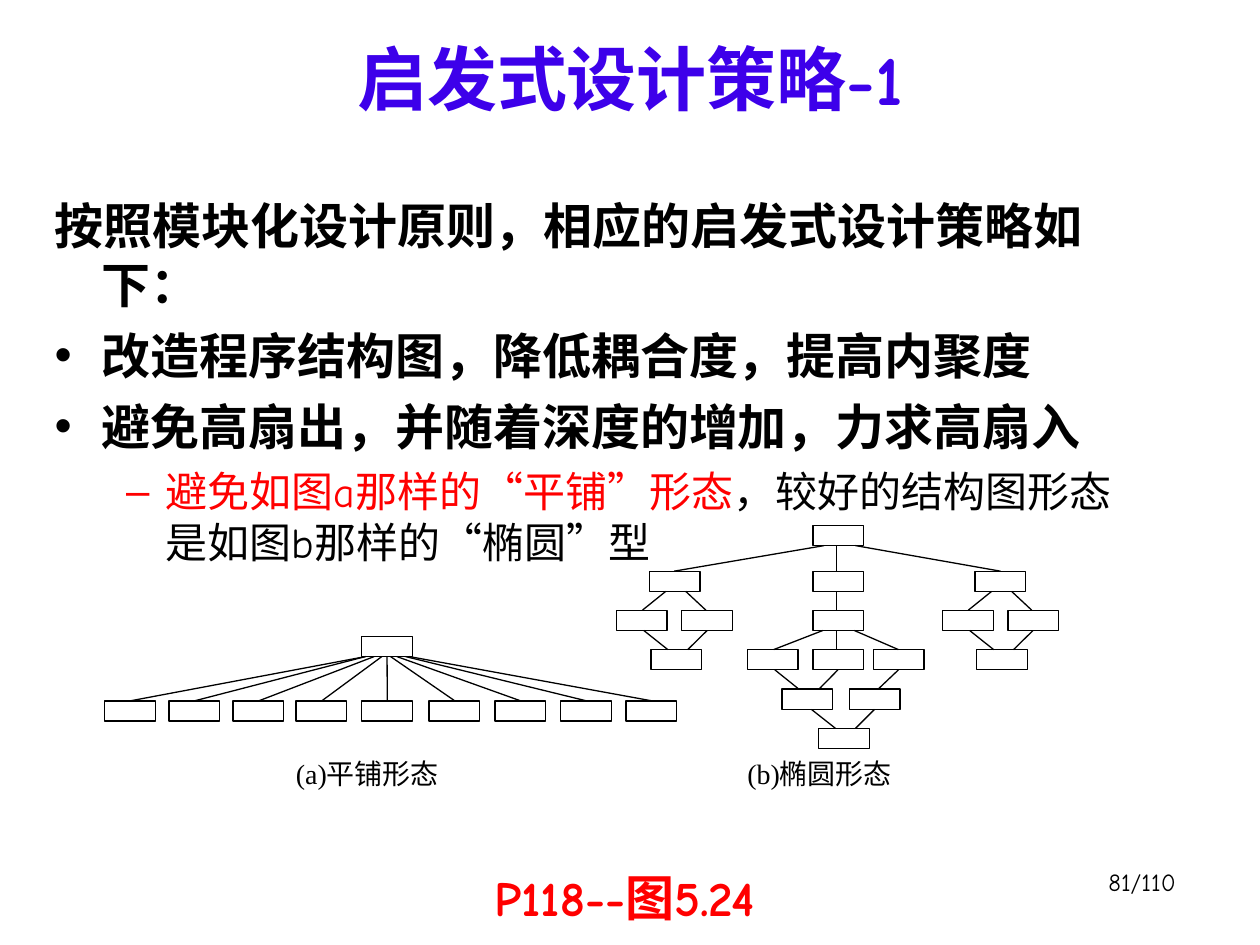
from lxml import etree
from pptx import Presentation
from pptx.dml.color import RGBColor
from pptx.enum import shapes, text
from pptx.oxml import ns
from pptx.util import Pt

rgb = RGBColor.from_string
BLACK, RED, BLUE = "000000", "FF0000", "3D00EA"
FONT = "Comic Neue"
W, H = 29, 11.6

prs = Presentation()
prs.slide_width, prs.slide_height = Pt(720), Pt(540)
s = prs.slides.add_slide(prs.slide_layouts[1])


def box(x, y):
    sp = s.shapes.add_shape(shapes.MSO_SHAPE.RECTANGLE, Pt(x), Pt(y), Pt(W), Pt(H))
    sp.shadow.inherit = False
    sp.fill.background()
    sp.line.color.rgb = rgb(BLACK)
    sp.line.width = Pt(0.75)


def line(x1, y1, x2, y2):
    cn = s.shapes.add_connector(shapes.MSO_CONNECTOR.STRAIGHT, Pt(x1), Pt(y1), Pt(x2), Pt(y2))
    cn.line.color.rgb = rgb(BLACK)
    cn.line.width = Pt(0.75)
    etree.SubElement(cn._element.spPr, ns.qn("a:effectLst"))


title, body = s.shapes.title, s.placeholders[1]
title.left, title.top, title.width, title.height = Pt(36), Pt(12), Pt(648), Pt(60)
body.left, body.top, body.width, body.height = Pt(24), Pt(108), Pt(642), Pt(216)

tf = title.text_frame
tf.text = "启发式设计策略-1"
tf.auto_size = text.MSO_AUTO_SIZE.NONE
tf.vertical_anchor = text.MSO_ANCHOR.BOTTOM
p = tf.paragraphs[0]
p.alignment = text.PP_ALIGN.CENTER
f = p.runs[0].font
f.name, f.size, f.bold, f.color.rgb = FONT, Pt(40), True, rgb(BLUE)

items = [
    (0, None, 0, [("按照模块化设计原则，相应的启发式设计策略如下：", BLACK)]),
    (0, "•", 7, [("改造程序结构图，降低耦合度，提高内聚度", BLACK)]),
    (0, "•", 7, [("避免高扇出，并随着深度的增加，力求高扇入", BLACK)]),
    (1, "–", 6, [("避免如图a那样的", RED), ("“", RED), ("平铺", RED), ("”", RED), ("形态", RED),
                 ("，较好的结构图形态是如图b那样的", BLACK), ("“", BLACK), ("椭圆", BLACK),
                 ("”", BLACK), ("型", BLACK)]),
]
tf = body.text_frame
tf.auto_size = text.MSO_AUTO_SIZE.NONE
for i, (level, bullet, before, runs) in enumerate(items):
    p = tf.add_paragraph() if i else tf.paragraphs[0]
    p.level = level
    p.space_before = Pt(before)
    pPr = p._p.get_or_add_pPr()
    pPr.set("marL", str(Pt((27, 63.4)[level])))
    pPr.set("indent", str(Pt((-27, -22.5)[level])))
    pPr.set("hangingPunct", "0")
    if bullet:
        clr = etree.SubElement(pPr, ns.qn("a:buClr"))
        etree.SubElement(clr, ns.qn("a:srgbClr"), val=runs[0][1])
        etree.SubElement(pPr, ns.qn("a:buChar"), char=bullet)
    else:
        etree.SubElement(pPr, ns.qn("a:buNone"))
    for words, color in runs:
        r = p.add_run()
        r.text = words
        f = r.font
        f.name = "Arial" if words in "“”" else FONT
        f.size, f.bold, f.color.rgb = Pt((28, 24)[level]), level == 0, rgb(color)

ALIGN = text.PP_ALIGN
for words, x, y, w, h, size, font, color, bold, align in [
    ("P118--图5.24", 144, 492, 426, 36, 28, FONT, RED, True, ALIGN.CENTER),
    ("81/110", 529.2, 491.8, 149.8, 36, 14, FONT, BLACK, False, ALIGN.RIGHT),
    ("(a)平铺形态", 162, 428.8, 127.4, 27.4, 16, "Times New Roman", BLACK, False, ALIGN.JUSTIFY),
    ("(b)椭圆形态", 420, 428.8, 127.4, 27.4, 16, "Times New Roman", BLACK, False, ALIGN.JUSTIFY),
]:
    tf = s.shapes.add_textbox(Pt(x), Pt(y), Pt(w), Pt(h)).text_frame
    tf.word_wrap = True
    tf.text = words
    p = tf.paragraphs[0]
    p.alignment = align
    f = p.runs[0].font
    f.name, f.size, f.bold, f.color.rgb = font, Pt(size), bold, rgb(color)

ROOT_Y, LEAF_Y = 363.6, 400.5
box(206.6, ROOT_Y)
for x, start in [(59.8, 208.8), (96.5, 208.8), (133.2, 213.8), (169.2, 218.2), (206.6, 221.2),
                 (245.2, 223.2), (282.8, 226.8), (320.4, 231.8), (357.8, 234)]:
    box(x, LEAF_Y)
    line(start, ROOT_Y + H, x + W / 2 + 0.2, LEAF_Y)

rows = [300.2, 326.4, 348.7, 371.2, 393.8, 416.2]
for row, lefts in enumerate([[464.5], [371, 464.5, 557.2], [352.2, 389.6, 464.5, 538.6, 576],
                             [372, 427, 464.5, 499, 558.2], [446.8, 485.3], [467.8]]):
    for x in lefts:
        box(x, rows[row])

links = [
    (0, 470.9, 385.2), (0, 478.2, 478.2), (0, 488.9, 571.7),
    (1, 478.2, 478.2),
    (2, 470.2, 442.1), (2, 478.2, 478.2), (2, 488.2, 513.4),
    (3, 442.8, 456.5), (3, 478.8, 468), (3, 513.4, 501.8),
    (4, 463.7, 477.4), (4, 499.7, 488.9),
]
for x in (371, 557.2):
    links += [(1, x + 9.4, x - 3.9), (1, x + 20.9, x + 32.4),
              (2, x - 3.1, x + 10.6), (2, x + 33.1, x + 22)]
for row, x1, x2 in links:
    line(x1, rows[row] + H, x2, rows[row + 1])

prs.save("out.pptx")
